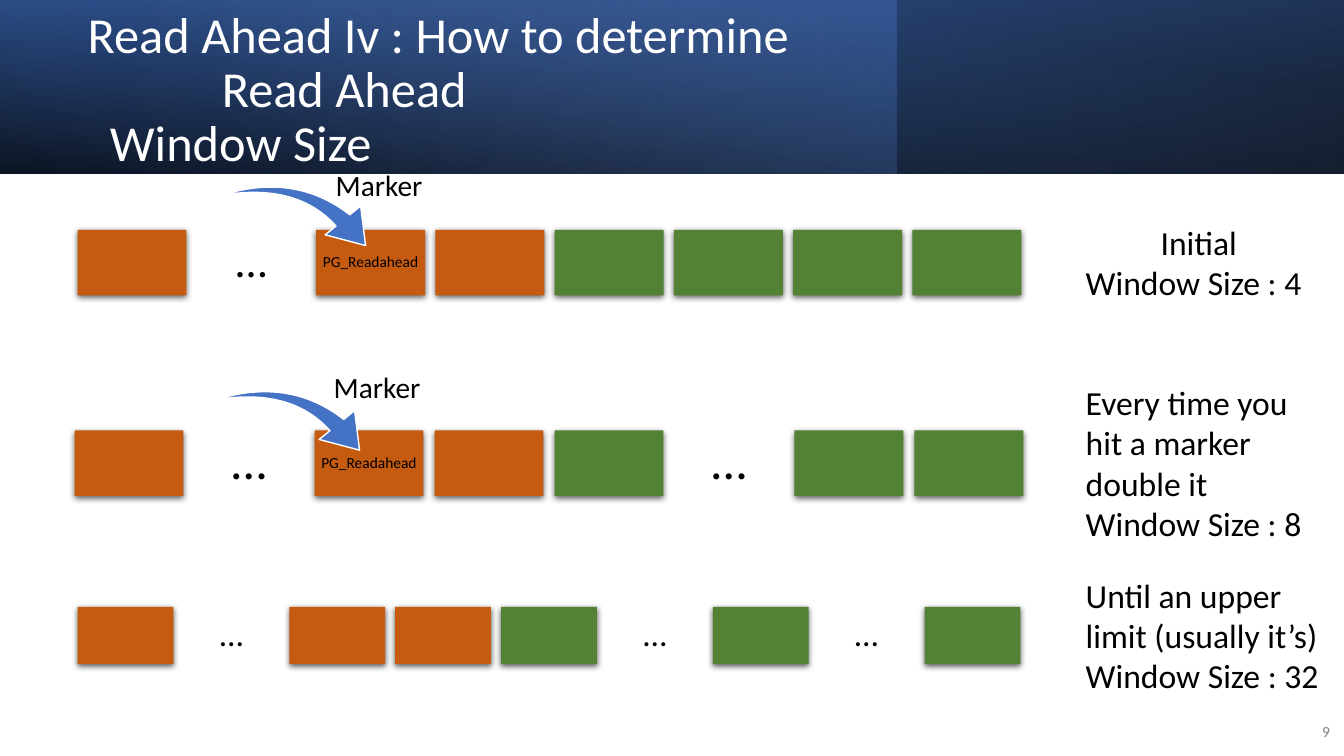
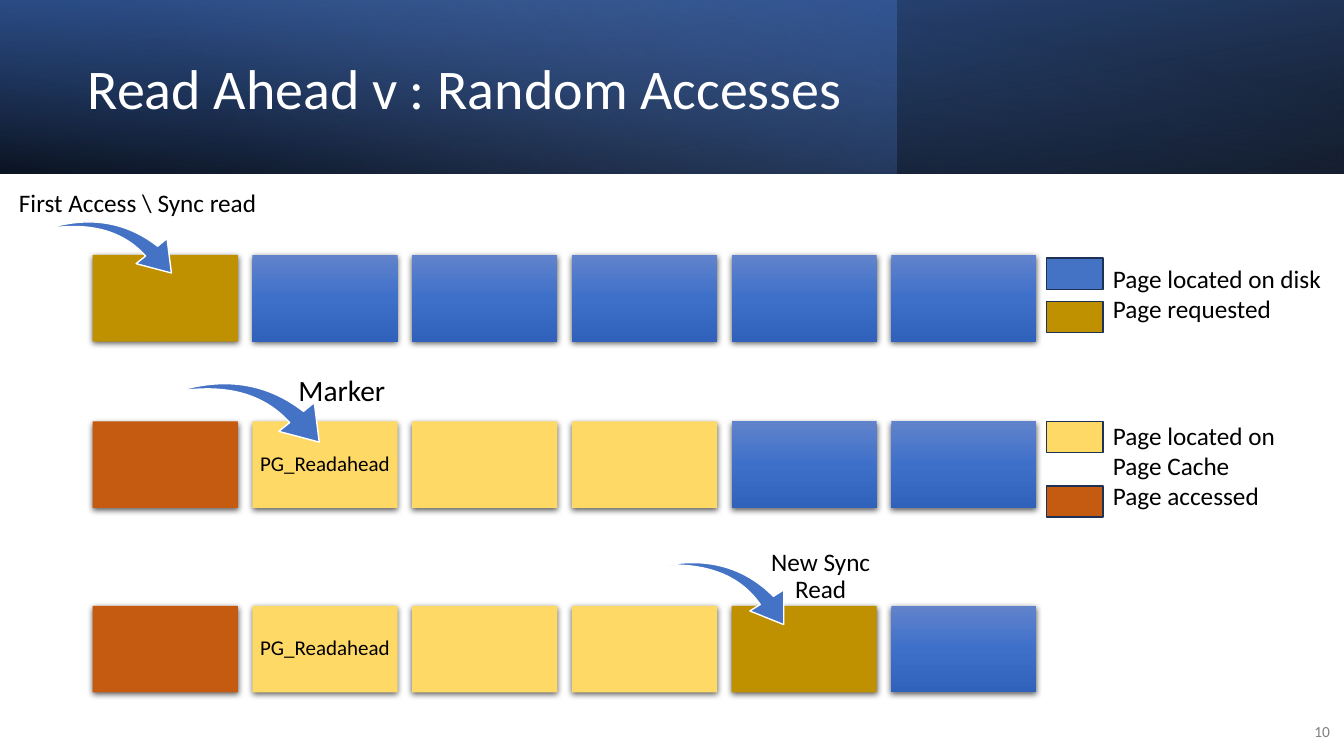
"""Build two slides on how read ahead sizes its window and handles random accesses."""
from pptx import Presentation
from pptx.dml.color import RGBColor
from pptx.enum.shapes import MSO_SHAPE
from pptx.enum.text import MSO_ANCHOR, MSO_AUTO_SIZE, PP_ALIGN
from pptx.oxml import parse_xml
from pptx.oxml.ns import nsdecls, qn
from pptx.util import Pt

PX = 9144
WIDTH, HEIGHT, BAND_HEIGHT = 1333, 750, 172
FONT = "Calibri"
BLACK, WHITE, GREY = "000000", "FFFFFF", "808080"
BLUE, NAVY = "4472C4", "1E3256"
ORANGE, GREEN, GOLD, YELLOW = "C55A11", "548235", "BF9000", "FFD966"
DISK_STOPS = [(0, "6183CB", 100), (50, "3E70CA", 100), (100, "3062BB", 100)]

# left-to-right extent, stops (position, colour, opacity), angle, rotation, flipped
BANDS = [
    (WIDTH, [(0, BLACK, 96), (100, "2F5597", 100)], 100, 180, True),
    (889, [(0, BLUE, 41), (74, "8FAADC", 0)], 140, 0, False),
    (WIDTH, [(0, BLACK, 63), (78, BLUE, 15)], 260, 0, True),
]

GAP = "…"
PAGES = {
    "A": (ORANGE, ""),
    "M": (ORANGE, "PG_Readahead"),
    "G": (GREEN, ""),
    "D": (DISK_STOPS, ""),
    "R": (GOLD, ""),
    "C": (YELLOW, ""),
    "P": (YELLOW, "PG_Readahead"),
}

SLIDES = [
    {
        "number": "9",
        "title": [("Read Ahead Iv : How to determine", 0), ("Read Ahead", 133), ("Window Size", 22)],
        "title_size": 36,
        "label_size": 11,
        "rows": [
            ("A…MAGGGG", (77, 1013), 228, (108, 65), 32),
            ("A…MAG…GG", (74, 1015), 427, (108, 65), 36),
            ("A…AAG…G…G", (77, 1012), 602, (95, 57), 24),
        ],
        "arrows": [((239, 159, 119, 110), 57.3), ((233, 362, 119, 110), 57.3)],
        "captions": [("Marker", (305, 141, 142, 63), 21), ("Marker", (303, 342, 142, 63), 21)],
        "notes": [
            (["Initial", "Window Size : 4"], (1067, 215, 244, 91), 24, True),
            (["Every time you hit a marker double it", "Window Size : 8"],
             (1067, 374, 244, 172), 24, False),
            (["Until an upper limit (usually it’s)", "Window Size : 32"],
             (1067, 565, 255, 131), 24, False),
        ],
        "keys": [],
    },
    {
        "number": "10",
        "title": [("Read Ahead v : Random Accesses", 0)],
        "title_size": 40,
        "label_size": 15,
        "rows": [
            ("RDDDDD", (92, 1028), 253, (144, 86), 36),
            ("APCCDD", (92, 1028), 418, (144, 86), 36),
            ("APCCRD", (92, 1028), 601, (144, 86), 36),
        ],
        "arrows": [
            ((62, 197, 104, 96), 57.3),
            ((193, 354, 119, 110), 57.3),
            ((673, 539, 104, 96), 64.5),
        ],
        "captions": [
            ("First Access \\ Sync read", (0, 172, 273, 47), 18),
            ("Marker", (268, 345, 142, 63), 21),
            ("New Sync Read", (744, 540, 140, 62), 18),
        ],
        "notes": [
            (["Page located on disk", "Page requested"], (1094, 256, 229, 73), 18, False),
            (["Page located on Page Cache", "Page accessed"], (1094, 412, 229, 111), 18, False),
        ],
        "keys": [(256, BLUE), (299, GOLD), (418, YELLOW), (482, ORANGE)],
    },
]


def rgb(color):
    return RGBColor.from_string(color)


def emu(box):
    return [round(length * PX) for length in box]


def paint(shape, fill, angle=90):
    if isinstance(fill, str):
        shape.fill.solid()
        shape.fill.fore_color.rgb = rgb(fill)
        return
    stops = "".join(
        f'<a:gs pos="{position * 1000}"><a:srgbClr val="{color}">'
        f'<a:alpha val="{opacity * 1000}"/></a:srgbClr></a:gs>'
        for position, color, opacity in fill)
    gradient = parse_xml(
        f'<a:gradFill {nsdecls("a")} rotWithShape="1"><a:gsLst>{stops}</a:gsLst>'
        f'<a:lin ang="{angle * 60000}" scaled="0"/></a:gradFill>')
    shape.fill.background()
    properties = shape.element.spPr
    properties.replace(properties.find(qn("a:noFill")), gradient)


def add_block(slide, box, fill, line=None, preset=MSO_SHAPE.RECTANGLE, angle=90):
    block = slide.shapes.add_shape(preset, *emu(box))
    block.shadow.inherit = False
    paint(block, fill, angle)
    if line:
        block.line.color.rgb = rgb(line)
        block.line.width = Pt(1)
    else:
        block.line.fill.background()
    return block


def cast_shadow(block):
    block.element.spPr.find(qn("a:effectLst")).append(parse_xml(
        f'<a:outerShdw {nsdecls("a")} blurRad="57150" dist="19050" dir="5400000" '
        'algn="ctr" rotWithShape="0"><a:srgbClr val="000000"><a:alpha val="63000"/>'
        '</a:srgbClr></a:outerShdw>'))


def write(shape, lines, size, color=BLACK, align=PP_ALIGN.CENTER,
          anchor=MSO_ANCHOR.MIDDLE, inset=None, spacing=0.9):
    frame = shape.text_frame
    frame.word_wrap = True
    frame.auto_size = MSO_AUTO_SIZE.NONE
    frame.vertical_anchor = anchor
    if inset is not None:
        frame.margin_left = frame.margin_right = inset * PX
        frame.margin_top = frame.margin_bottom = inset * PX
    frame.text = "\n".join(lines)
    for paragraph in frame.paragraphs:
        paragraph.alignment = align
        paragraph.line_spacing = spacing
        paragraph.font.name = FONT
        paragraph.font.size = Pt(size)
        paragraph.font.color.rgb = rgb(color)
    return frame.paragraphs


def add_text(slide, box, lines, size, **style):
    return write(slide.shapes.add_textbox(*emu(box)), lines, size, **style)


def add_header(slide, content):
    for width, stops, angle, rotation, flipped in BANDS:
        band = add_block(slide, (0, 0, width, BAND_HEIGHT), stops, angle=angle)
        band.rotation = rotation
        if flipped:
            band.element.spPr.find(qn("a:xfrm")).set("flipH", "1")
    title = slide.shapes.title
    title.element.getparent().append(title.element)
    title.left, title.top, title.width, title.height = emu((77, 27, 772, 127))
    lines = [line for line, _ in content["title"]]
    paragraphs = write(title, lines, content["title_size"], WHITE, PP_ALIGN.LEFT)
    for paragraph, (_, indent) in zip(paragraphs, content["title"]):
        paragraph._p.get_or_add_pPr().set("marL", str(indent * PX))
    add_text(slide, (1280, 706, 49, 40), [content["number"]], 11,
             color=GREY, align=PP_ALIGN.RIGHT, spacing=1.0)


def add_row(slide, row, label_size):
    pages, (left, right), top, (width, height), gap_size = row
    pitch = (right - left - width) / (len(pages) - 1)
    for index, page in enumerate(pages):
        box = (left + index * pitch, top, width, height)
        if page == GAP:
            add_text(slide, box, [GAP], gap_size, inset=10)
            continue
        fill, label = PAGES[page]
        block = add_block(slide, box, fill)
        cast_shadow(block)
        if label:
            write(block, [label], label_size, inset=5)


def build_slide(deck, content):
    slide = deck.slides.add_slide(deck.slide_layouts[5])
    add_header(slide, content)
    for row in content["rows"]:
        add_row(slide, row, content["label_size"])
    for box, rotation in content["arrows"]:
        arrow = add_block(slide, box, BLUE, WHITE, MSO_SHAPE.SWOOSH_ARROW)
        arrow.rotation = rotation
        arrow.adjustments[0], arrow.adjustments[1] = 0.16, 0.31
    for caption, box, size in content["captions"]:
        add_text(slide, box, [caption], size, anchor=MSO_ANCHOR.BOTTOM, inset=3)
    for lines, box, size, centred_first in content["notes"]:
        paragraphs = add_text(slide, box, lines, size, align=PP_ALIGN.LEFT,
                              anchor=MSO_ANCHOR.TOP, spacing=1.0)
        if centred_first:
            paragraphs[0].alignment = PP_ALIGN.CENTER
    for top, color in content["keys"]:
        add_block(slide, (1038, top, 56, 31), color, NAVY)


def main():
    deck = Presentation()
    deck.slide_width, deck.slide_height = emu((WIDTH, HEIGHT))
    for content in SLIDES:
        build_slide(deck, content)
    deck.save("out.pptx")


if __name__ == "__main__":
    main()
